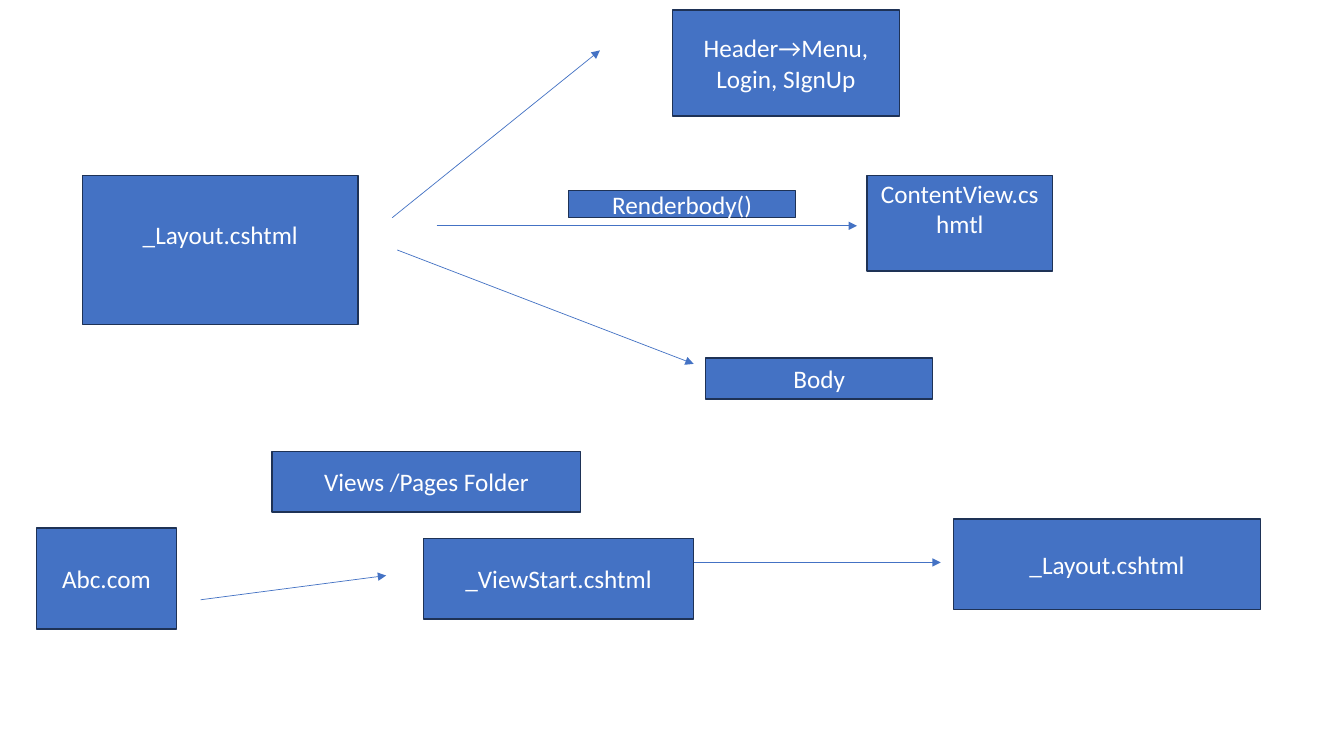
from lxml import etree
from pptx import Presentation
from pptx.dml.color import RGBColor
from pptx.enum.shapes import MSO_CONNECTOR, MSO_SHAPE
from pptx.enum.text import MSO_ANCHOR, PP_ALIGN
from pptx.oxml.ns import qn
from pptx.util import Pt

PX = 9144
BLUE = RGBColor(0x44, 0x72, 0xC4)
NAVY = RGBColor(0x1E, 0x32, 0x56)
WHITE = RGBColor(0xFF, 0xFF, 0xFF)
RECTANGLE = MSO_SHAPE.RECTANGLE
STRAIGHT = MSO_CONNECTOR.STRAIGHT
MIDDLE = MSO_ANCHOR.MIDDLE
CENTER = PP_ALIGN.CENTER


def add_node(slide, label, left, top, width, height, raised=False):
    node = slide.shapes.add_shape(
        RECTANGLE, left * PX, top * PX, width * PX, height * PX)
    node.shadow.inherit = False
    node.fill.solid()
    node.fill.fore_color.rgb = BLUE
    node.line.color.rgb = NAVY
    node.line.width = Pt(1)
    frame = node.text_frame
    frame.word_wrap = True
    frame.vertical_anchor = MIDDLE
    if raised:
        frame.margin_top = 2 * PX
        frame.margin_bottom = 32 * PX
    paragraph = frame.paragraphs[0]
    paragraph.alignment = CENTER
    run = paragraph.add_run()
    run.text = label
    run.font.name = "Calibri"
    run.font.size = Pt(18)
    run.font.color.rgb = WHITE


def add_arrow(slide, x1, y1, x2, y2):
    arrow = slide.shapes.add_connector(
        STRAIGHT, x1 * PX, y1 * PX, x2 * PX, y2 * PX)
    arrow.line.color.rgb = BLUE
    arrow.line.width = Pt(0.5)
    etree.SubElement(arrow.line._get_or_add_ln(), qn("a:tailEnd"), type="triangle")
    etree.SubElement(arrow._element.spPr, qn("a:effectLst"))


def add_layout_parts(slide, left, top):
    add_node(slide, "_Layout.cshtml", left, top + 164, 273, 148, raised=True)
    add_arrow(slide, left + 307, top + 206, left + 513, top + 40)
    add_arrow(slide, left + 312, top + 238, left + 606, top + 351)
    add_node(slide, "Header→Menu, Login, SIgnUp", left + 585, top, 225, 105)
    add_node(slide, "Body", left + 618, top + 345, 225, 41)
    add_node(slide, "ContentView.cshmtl", left + 778, top + 164, 184, 95, raised=True)
    add_arrow(slide, left + 351, top + 214, left + 768, top + 214)
    add_node(slide, "Renderbody()", left + 482, top + 179, 225, 27)


def add_request_flow(slide, left, top):
    add_node(slide, "Views /Pages Folder", left + 234, top, 306, 60)
    add_node(slide, "Abc.com", left, top + 76, 139, 100)
    add_arrow(slide, left + 163, top + 147, left + 347, top + 123)
    add_node(slide, "_ViewStart.cshtml", left + 384, top + 86, 268, 80)
    add_arrow(slide, left + 652, top + 110, left + 897, top + 110)
    add_node(slide, "_Layout.cshtml", left + 910, top + 67, 304, 90)


def main():
    deck = Presentation()
    deck.slide_width = 1333 * PX
    deck.slide_height = 750 * PX
    slide = deck.slides.add_slide(deck.slide_layouts[6])
    add_layout_parts(slide, 82, 10)
    add_request_flow(slide, 36, 448)
    deck.save("out.pptx")


if __name__ == "__main__":
    main()
